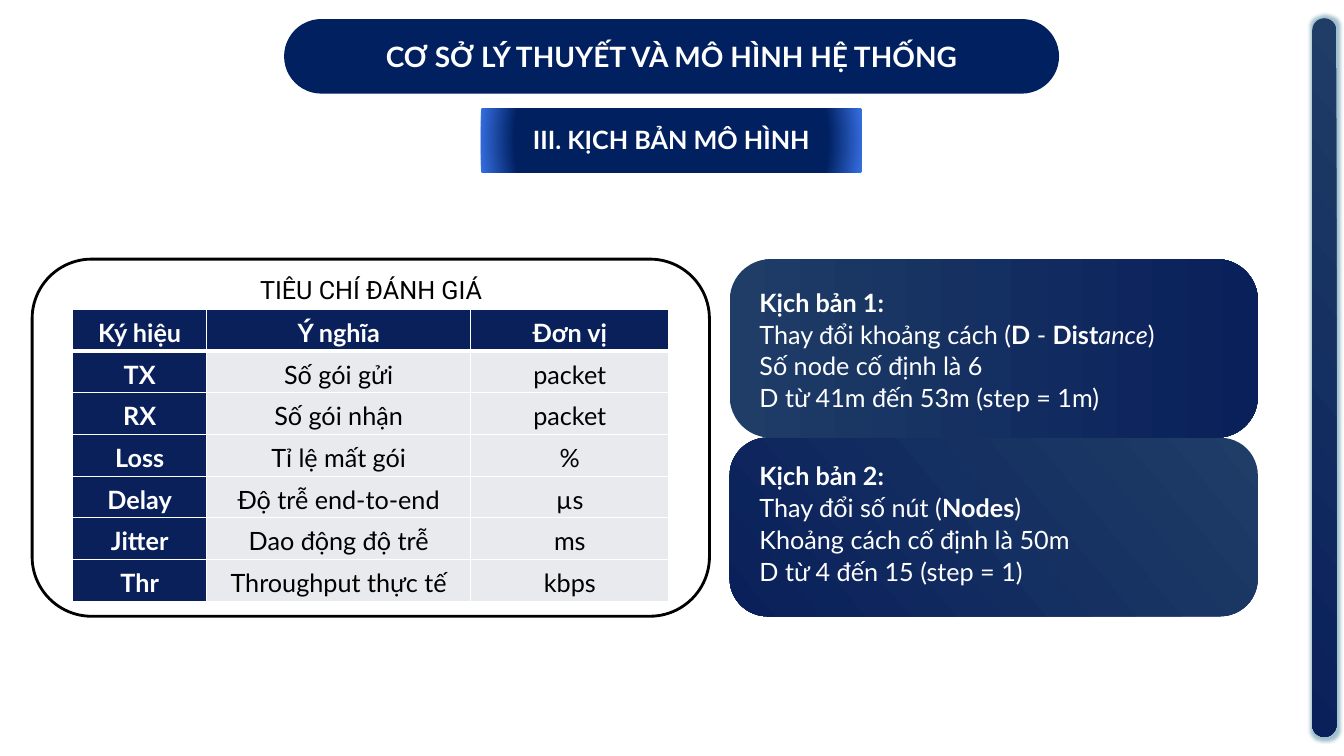
from lxml import etree
from pptx import Presentation
from pptx import util as u
from pptx.dml.color import RGBColor
from pptx.enum import shapes, text
from pptx.oxml import parse_xml
from pptx.oxml.ns import nsdecls, qn

NAVY, DEEP, STEEL, WHITE, BLACK = "002060", "09205A", "1F3D67", "FFFFFF", "000000"
RECT = shapes.MSO_SHAPE.RECTANGLE
ROUND = shapes.MSO_SHAPE.ROUNDED_RECTANGLE
MID = text.PP_ALIGN.CENTER


def hue(code):
    return RGBColor.from_string(code)


def place(box):
    return [u.Cm(n) for n in box]


def write(frame, paras, color=WHITE, font="Lato", size=18, bold=False,
          align=None, after=None, lead=None):
    for i, runs in enumerate(paras):
        par = frame.paragraphs[0] if i == 0 else frame.add_paragraph()
        par.alignment = align
        if after is not None:
            par.space_after = u.Pt(after)
        if lead:
            par.line_spacing = lead
        for words, style in ([(runs, "")] if isinstance(runs, str) else runs):
            run = par.add_run()
            run.text = words
            face = run.font
            face.name, face.size = font, u.Pt(size)
            face.color.rgb = hue(color)
            face.bold = bold or "b" in style
            face.italic = "i" in style


def label(slide, box, paras, **look):
    frame = slide.shapes.add_textbox(*place(box)).text_frame
    frame.word_wrap = True
    write(frame, paras, **look)


def block(slide, box, kind=ROUND, adj=None, fill=None):
    shape = slide.shapes.add_shape(kind, *place(box))
    shape.shadow.inherit = False
    shape.line.fill.background()
    if adj is not None:
        shape.adjustments[0] = adj
    if fill:
        shape.fill.solid()
        shape.fill.fore_color.rgb = hue(fill)
    else:
        shape.fill.background()
    return shape


def blend(shape, first, last, start=0, angle=0):
    shape.fill.gradient()
    shape.fill.gradient_angle = angle
    for stop, color, pos in zip(shape.fill.gradient_stops, (first, last), (start, 1)):
        stop.color.rgb = hue(color)
        stop.position = pos


def title(slide, box):
    x, y, w, h = box
    block(slide, box, adj=0.5, fill=NAVY)
    label(slide, (x + 1.3, y + 0.38, w - 2.6, 1.12),
          ["CƠ SỞ LÝ THUYẾT VÀ MÔ HÌNH HỆ THỐNG"], size=20, bold=True, align=MID)


def section(slide, box):
    x, y, w, h = box
    shape = block(slide, box, kind=RECT)
    blend(shape, NAVY, "3770E3", start=0.81)
    line = shape._element.spPr.find(".//" + qn("a:lin"))
    line.getparent().replace(line, parse_xml(
        f'<a:path {nsdecls("a")} path="circle">'
        '<a:fillToRect l="50000" t="50000" r="50000" b="50000"/></a:path>'))
    label(slide, (x - 1.3, y + 0.28, w + 2.6, 1.02),
          ["III. KỊCH BẢN MÔ HÌNH"], bold=True, align=MID)


def edge(cell, side, width):
    props = cell._tc.get_or_add_tcPr()
    line = etree.SubElement(props, qn("a:ln" + side), w=str(u.Pt(width)))
    fill = etree.SubElement(line, qn("a:solidFill"))
    etree.SubElement(fill, qn("a:srgbClr"), val=WHITE)


def metrics(slide, box):
    x, y, w, h = box
    panel = block(slide, box)
    panel.line.color.rgb = hue(BLACK)
    panel.line.width = u.Pt(2)
    rows = [
        ("Ký hiệu", "Ý nghĩa", "Đơn vị"),
        ("TX", "Số gói gửi", "packet"),
        ("RX", "Số gói nhận", "packet"),
        ("Loss", "Tỉ lệ mất gói", "%"),
        ("Delay", "Độ trễ end‑to‑end", "µs"),
        ("Jitter", "Dao động độ trễ", "ms"),
        ("Thr", "Throughput thực tế", "kbps"),
    ]
    wide, tall = (3.38, 6.65, 5.0), 1.05
    grid = slide.shapes.add_table(len(rows), len(wide), *place(
        (x + 1.02, y + 1.27, sum(wide), tall * len(rows)))).table
    for col, size in zip(grid.columns, wide):
        col.width = u.Cm(size)
    for r, row in enumerate(rows):
        grid.rows[r].height = u.Cm(tall)
        for c, words in enumerate(row):
            cell = grid.cell(r, c)
            head = r == 0 or c == 0
            cell.margin_left = cell.margin_right = u.Cm(0.18)
            cell.margin_top = cell.margin_bottom = 0
            cell.vertical_anchor = text.MSO_ANCHOR.MIDDLE
            for side in "LRTB":
                thick = (r, side) in ((0, "B"), (1, "T"))
                edge(cell, side, 3 if thick else 1)
            cell.fill.solid()
            cell.fill.fore_color.rgb = hue(DEEP if head else "E8EAED")
            write(cell.text_frame, [words], color=WHITE if head else BLACK,
                  bold=head, align=MID, after=8, lead=1.15)
    label(slide, (x + 4.67, y + 0.25, 7.75, 1.02), ["TIÊU CHÍ ĐÁNH GIÁ"],
          color=BLACK, font="Roboto", align=MID)


def card(slide, box, paras, adj, angle, drop):
    x, y, w, h = box
    blend(block(slide, box, adj=adj), STEEL, DEEP, angle=angle)
    label(slide, (x + 0.5, y + drop, w - 0.97, 3.43), paras, after=1.1)


def rail(slide, box):
    shape = block(slide, box, adj=0.5)
    blend(shape, STEEL, DEEP, angle=220)
    shape._element.spPr.find(qn("a:effectLst")).append(parse_xml(
        f'<a:glow {nsdecls("a")} rad="63500"><a:srgbClr val="156082">'
        '<a:alpha val="40000"/></a:srgbClr></a:glow>'))


def main():
    deck = Presentation()
    deck.slide_width, deck.slide_height = u.Cm(33.87), u.Cm(19.05)
    slide = deck.slides.add_slide(deck.slide_layouts[6])
    section(slide, (12.12, 2.74, 9.6, 1.6))
    title(slide, (7.16, 0.48, 19.53, 1.88))
    left, top, wide, tall = 18.39, 6.53, 13.31, 4.5
    metrics(slide, (0.81, top, 17.07, 2 * tall))
    card(slide, (left, top + tall, wide, tall), [
        [("Kịch bản 2:", "b")],
        [("Thay đổi số nút (", ""), ("Nodes", "b"), (")", "")],
        "Khoảng cách cố định là 50m",
        "D từ 4 đến 15 (step = 1)",
    ], adj=0.21, angle=220, drop=0.45)
    card(slide, (left, top, wide, tall), [
        [("Kịch bản 1:", "b")],
        [("Thay đổi khoảng cách (", ""), ("D", "b"), (" - ", ""),
         ("Dist", "b"), ("ance", "i"), (")", "")],
        "Số node cố định là 6",
        "D từ 41m đến 53m (step = 1m)",
    ], adj=0.23, angle=0, drop=0.58)
    rail(slide, (33.07, 0.46, 0.61, 18.11))
    deck.save("out.pptx")


if __name__ == "__main__":
    main()
